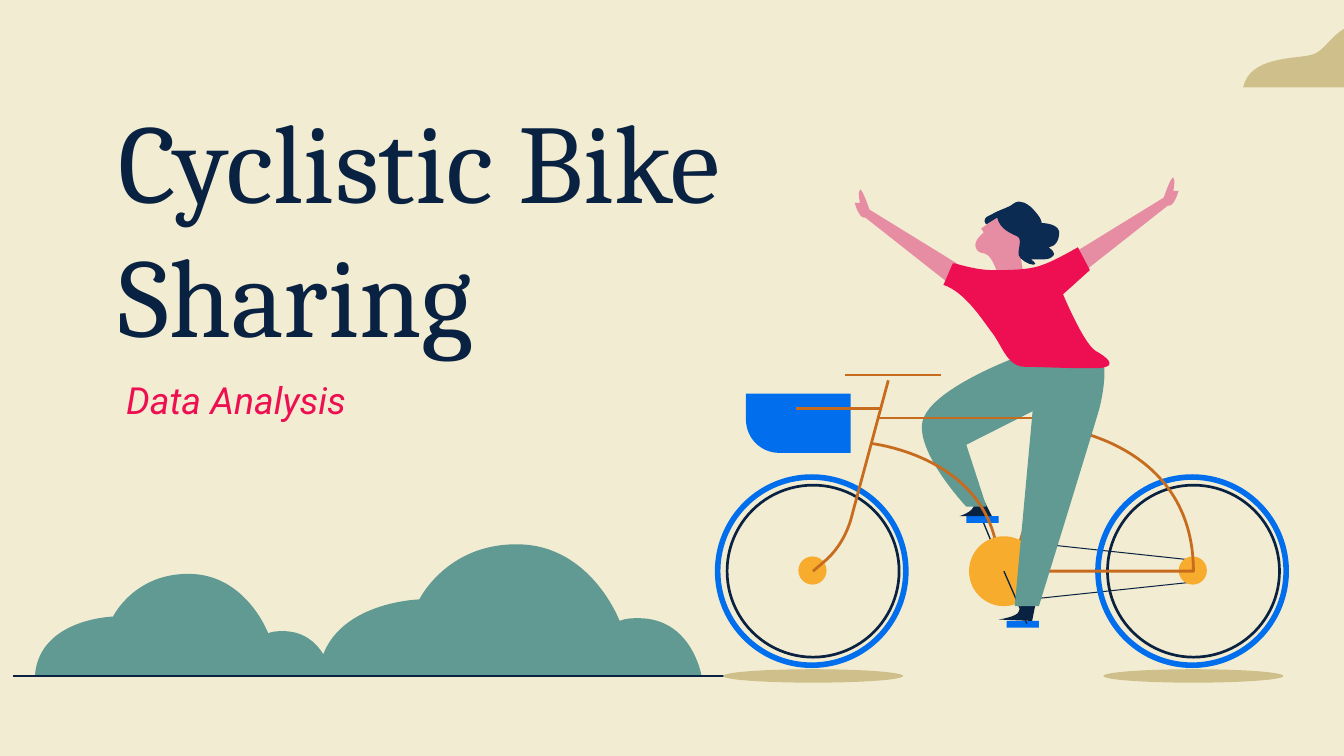
"""Builds the title slide of a bike sharing data analysis."""
from lxml import etree
from pptx import Presentation
from pptx.dml.color import RGBColor
from pptx.enum.shapes import MSO_CONNECTOR, MSO_SHAPE
from pptx.enum.text import MSO_ANCHOR, MSO_AUTO_SIZE, PP_ALIGN
from pptx.oxml.ns import qn
from pptx.util import Pt

STRAIGHT = MSO_CONNECTOR.STRAIGHT
OVAL, RECTANGLE = MSO_SHAPE.OVAL, MSO_SHAPE.RECTANGLE
TOP, BOTTOM = MSO_ANCHOR.TOP, MSO_ANCHOR.BOTTOM
LEFT = PP_ALIGN.LEFT
NO_AUTOFIT = MSO_AUTO_SIZE.NONE

CREAM = RGBColor(0xF2, 0xEC, 0xD2)
SAND = RGBColor(0xCF, 0xBF, 0x8B)
GREEN = RGBColor(0x60, 0x9A, 0x92)
NAVY = RGBColor(0x09, 0x22, 0x42)
HAIR = RGBColor(0x0B, 0x2B, 0x52)
BLUE = RGBColor(0x00, 0x6E, 0xED)
RUST = RGBColor(0xC7, 0x6C, 0x1F)
AMBER = RGBColor(0xF7, 0xAC, 0x2D)
PINK = RGBColor(0xE6, 0x8C, 0xA3)
RED = RGBColor(0xED, 0x0F, 0x51)

UNIT = Pt(0.72)
FRAME_WIDTH = 1.5
WHEEL_GAP = 283

BUSH = (
    "147 0 / 95 0 75 41 75 41 / 75 41 4 43 0 98 / 285 98 / 285 98 278 55 238 55 /"
    "234 55 229 55 224 57 / 224 57 203 1 149 0"
)
REAR_SHOE = "731 370 / 724 373 / 728 380 714 384 714 384 / 738 384"
REAR_LEG = "761 264 / 761 264 688 290 686 316 / 684 340 719 377 719 377 / 734 377 / 719 331 / 802 289"
DOWN_TUBE = "648 330 / 648 330 742 340 743 423"
CHAIN = "749 402 / 889 417 / 889 433 / 747 448"
FORK = "661 283 / 633 387 / 629 400 622 411 612 419 / 605 425"
REAR_STAY = "786 318 / 786 318 888 328 888 425 / 761 425"
BASKET = "555 293 / 555 312 / 555 326 566 337 580 337 / 633 337 / 633 293"
FRONT_SHOE = "760 447 / 760 447 760 450 758 455 / 757 459 743 461 743 461 / 768 462 / 771 447"
FRONT_LEG = "772 266 / 755 451 / 773 451 / 773 451 811 328 818 304 / 824 279 821 270 821 270"
HEAD = (
    "742 162 / 730 170 / 732 173 / 732 173 724 179 726 184 / 728 190 732 187 735 190 /"
    "739 193 742 203 742 203 / 761 201 / 759 188 / 759 188 765 179 763 174 / 762 169 742 162 742 162"
)
HAIRSTYLE = (
    "758 150 / 755 150 753 153 750 154 / 746 156 744 156 737 160 / 729 163 734 167 734 167 /"
    "742 162 / 744 171 753 174 757 176 / 761 178 757 186 758 190 / 759 193 765 197 769 197 /"
    "773 197 767 193 767 193 / 767 193 771 193 775 193 / 778 193 781 193 783 191 /"
    "787 188 780 184 780 184 / 780 184 787 184 788 175 / 790 166 775 166 775 166 /"
    "775 166 776 163 767 154 / 763 151 761 150 758 150"
)
ARM = (
    "873 132 / 871 132 866 147 866 147 / 801 187 / 808 201 / 869 153 / 869 153 870 153 870 153 /"
    "874 153 877 142 877 142 / 873 142 / 873 142 875 134 873 132"
)
SHIRT = (
    "802 184 / 802 184 785 194 776 197 / 769 200 757 201 745 201 / 743 201 740 201 738 201 /"
    "726 201 711 196 710 196 / 709 196 / 702 212 / 717 217 729 235 737 246 /"
    "746 257 749 273 763 273 / 772 273 793 274 808 274 / 815 274 821 274 823 273 /"
    "829 271 824 266 815 261 / 806 255 791 219 791 219 / 811 201"
)
CLOUD = (
    "1014 18 / 1013 18 1012 18 1011 18 / 992 20 987 39 975 41 / 963 44 930 42 925 65 /"
    "1076 65 / 1076 65 1071 46 1052 42 / 1034 38 1031 18 1014 18"
)


class Scene:
    """Draws styled elements on one slide, on a grid of UNIT steps."""

    def __init__(self, slide):
        self.shapes = slide.shapes
        fill = slide.background.fill
        fill.solid()
        fill.fore_color.rgb = CREAM

    def paint(self, shape, fill, line, width):
        shape.shadow.inherit = False
        if fill is None:
            shape.fill.background()
        else:
            shape.fill.solid()
            shape.fill.fore_color.rgb = fill
        if line is None:
            shape.line.fill.background()
        else:
            shape.line.color.rgb = line
            shape.line.width = Pt(width)

    def outline(self, outline, fill=None, line=None, width=FRAME_WIDTH, origin=(0, 0), scale=(1, 1)):
        """Draw segments split by slashes, each with one (line) or three (curve) points."""
        segments = []
        for segment in outline.split("/"):
            numbers = [float(number) for number in segment.split()]
            segments.append([
                ((origin[0] + scale[0] * x) * UNIT, (origin[1] + scale[1] * y) * UNIT)
                for x, y in zip(numbers[::2], numbers[1::2])
            ])
        start, *steps = segments
        builder = self.shapes.build_freeform(*start[0], scale=1.0)
        builder.add_line_segments(sum(steps, []), close=fill is not None)
        shape = builder.convert_to_shape()
        vertices = iter(list(shape._element.iter(qn("a:lnTo"))))
        for step in steps:
            lead, *followers = [next(vertices) for _ in step]
            if followers:
                lead.tag = qn("a:cubicBezTo")
            for follower in followers:
                lead.append(follower[0])
                follower.getparent().remove(follower)
        self.paint(shape, fill, line, width)

    def preset(self, kind, box, fill=None, line=None, width=FRAME_WIDTH):
        shape = self.shapes.add_shape(kind, *(int(value * UNIT) for value in box))
        self.paint(shape, fill, line, width)

    def line(self, start, end, color=RUST, width=FRAME_WIDTH):
        ends = (int(value * UNIT) for value in start + end)
        connector = self.shapes.add_connector(STRAIGHT, *ends)
        connector.line.color.rgb = color
        connector.line.width = Pt(width)
        etree.SubElement(connector._element.spPr, qn("a:effectLst"))

    def bush(self, left, top, size, ground):
        self.outline(BUSH, GREEN, origin=(left, top), scale=(size, size))
        self.line((ground[0], 503), (ground[1], 503), NAVY, 0.54)

    def wheel(self, dx):
        self.preset(OVAL, (538 + dx, 498, 134, 10), SAND)
        self.preset(OVAL, (534 + dx, 355, 140, 140), line=BLUE, width=3)
        self.preset(OVAL, (541 + dx, 361, 128, 128), line=NAVY, width=1.44)
        self.preset(OVAL, (594 + dx, 414, 21, 21), AMBER)

    def text(self, holder, words, box, font_name, size, color, anchor, italic=False):
        holder.left, holder.top, holder.width, holder.height = (Pt(value) for value in box)
        frame = holder.text_frame
        frame.word_wrap = True
        frame.auto_size = NO_AUTOFIT
        frame.vertical_anchor = anchor
        frame.margin_left = frame.margin_right = Pt(7.2)
        frame.margin_top = frame.margin_bottom = Pt(7.2)
        frame.text = words
        paragraph = frame.paragraphs[0]
        paragraph.alignment = LEFT
        font = paragraph.font
        font.name, font.size, font.italic = font_name, Pt(size), italic
        font.color.rgb = color


def main():
    deck = Presentation()
    deck.slide_width, deck.slide_height = Pt(720), Pt(405)
    scene = Scene(deck.slides.add_slide(deck.slide_layouts[5]))

    scene.bush(237, 405, 1, (217, 540))

    scene.line((731, 387), (747, 426), NAVY, 0.72)
    scene.preset(RECTANGLE, (719, 384, 24, 5), BLUE)
    scene.outline(REAR_SHOE, NAVY)
    scene.outline(REAR_LEG, GREEN)
    scene.outline(DOWN_TUBE, line=RUST)
    scene.outline(CHAIN, line=NAVY, width=0.54)
    for dx in (0, WHEEL_GAP):
        scene.wheel(dx)
    scene.line((791, 301), (752, 425))
    scene.outline(FORK, line=RUST)
    scene.line((629, 279), (700, 279))
    scene.line((653, 311), (788, 311))
    scene.outline(REAR_STAY, line=RUST)
    scene.preset(OVAL, (721, 399, 52, 52), AMBER)
    scene.preset(RECTANGLE, (749, 462, 24, 5), BLUE)
    scene.line((747, 425), (764, 464), NAVY, 0.72)
    scene.outline(BASKET, BLUE)
    scene.line((655, 304), (592, 304))

    scene.outline(FRONT_SHOE, NAVY)
    scene.outline(FRONT_LEG, GREEN)
    scene.outline(HEAD, PINK)
    scene.outline(HAIRSTYLE, HAIR)
    scene.outline(ARM, PINK)
    scene.outline(ARM, PINK, origin=(1513, 9), scale=(-1, 1))
    scene.outline(SHIRT, RED)

    scene.text(scene.shapes.title, "Cyclistic Bike Sharing", (56.16, 41.76, 383.76, 158.4),
               "Cambria", 60, NAVY, BOTTOM)
    subtitle_box = (60.48, 195.12, 232.56, 60.48)
    subtitle = scene.shapes.add_textbox(*(Pt(value) for value in subtitle_box))
    scene.text(subtitle, "Data Analysis", subtitle_box, "Roboto", 20, RED, TOP, italic=True)

    scene.bush(26, 427, 0.775, (10, 260))
    scene.outline(CLOUD, SAND)
    deck.save("out.pptx")


if __name__ == "__main__":
    main()
